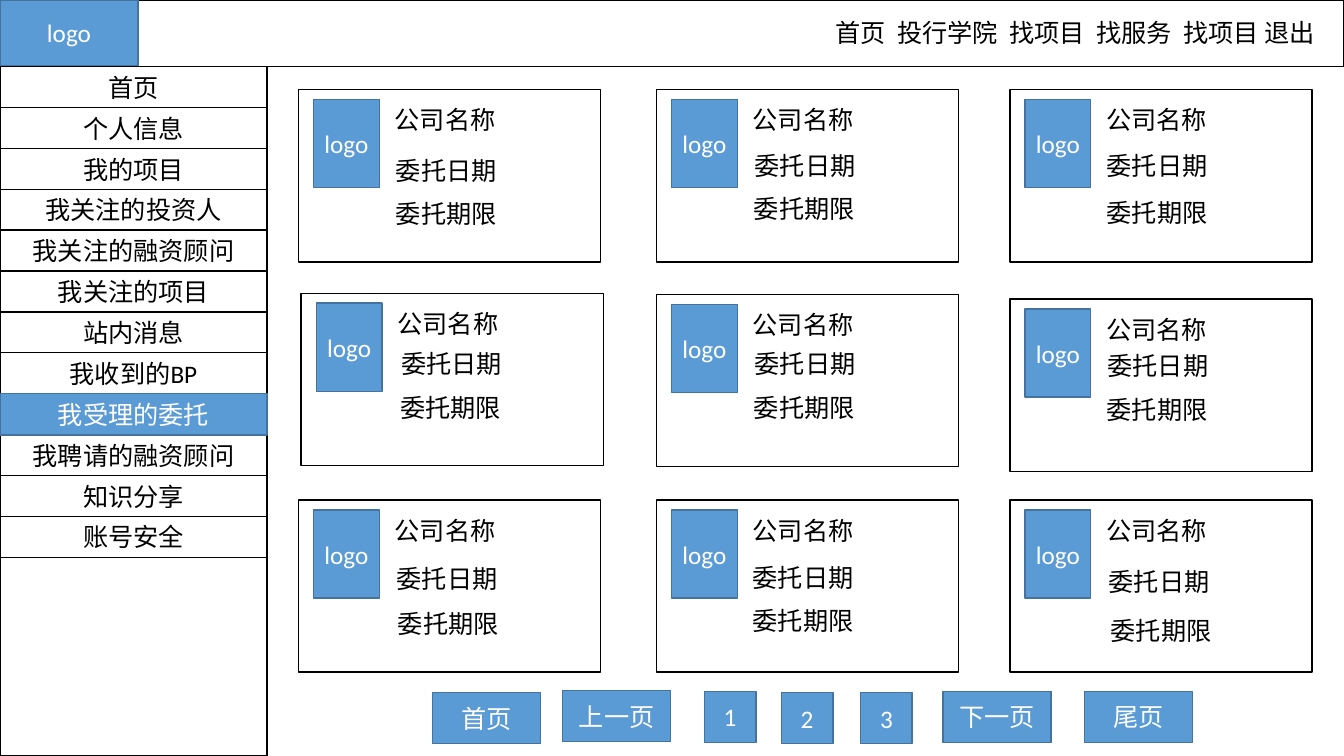
from lxml.etree import SubElement
from pptx import Presentation
from pptx.dml.color import RGBColor
from pptx.enum.shapes import MSO_SHAPE
from pptx.enum.text import MSO_ANCHOR, PP_ALIGN
from pptx.oxml.ns import qn
from pptx.util import Cm, Pt

# Content, lengths in centimetres
SLIDE_W, SLIDE_H = 33.87, 19.05
BLUE, BLUE_EDGE, WHITE, BLACK = "5B9BD5", "43739E", "FFFFFF", "000000"

NAVIGATION = ["首页", "投行学院", "找项目", "找服务", "找项目", "退出"]
NAVIGATION_STOPS = [1.56, 4.38, 6.58, 8.77, 10.81]

MENU = [
    "首页", "个人信息", "我的项目", "我关注的投资人", "我关注的融资顾问", "我关注的项目",
    "站内消息", "我收到的BP", "我受理的委托", "我聘请的融资顾问", "知识分享", "账号安全",
]
ACTIVE_ENTRY = "我受理的委托"

COMPANY, DATE, TERM = "公司名称", "委托日期", "委托期限"
# Corner of each card, of its date and of its term
CARDS = [
    ((7.52, 2.26), (9.73, 3.78), (9.73, 4.88)),
    ((16.54, 2.26), (18.77, 3.66), (18.75, 4.75)),
    ((25.45, 2.26), (27.64, 3.66), (27.64, 4.85)),
    ((7.59, 7.39), (9.86, 8.66), (9.84, 9.75)),
    ((16.54, 7.42), (18.77, 8.66), (18.75, 9.75)),
    ((25.45, 7.54), (27.66, 8.71), (27.64, 9.8)),
    ((7.52, 12.6), (9.75, 14.07), (9.78, 15.21)),
    ((16.54, 12.6), (18.72, 14.05), (18.72, 15.14)),
    ((25.45, 12.6), (27.69, 14.15), (27.74, 15.37)),
]

# Label, left, top, width
PAGER = [
    ("首页", 10.9, 17.45, 2.72), ("上一页", 14.18, 17.4, 2.72),
    ("1", 17.75, 17.42, 1.3), ("2", 19.69, 17.45, 1.3), ("3", 21.69, 17.45, 1.3),
    ("下一页", 23.77, 17.42, 2.72), ("尾页", 27.33, 17.42, 2.72),
]

HEADER_H, SIDEBAR_W = 1.68, 6.73
MENU_STEP, MENU_ROW_H = 1.03, 1.04
CARD_W, CARD_H = 7.62, 4.34
LOGO_W, LOGO_H = 1.66, 2.22

presentation = Presentation()
presentation.slide_width, presentation.slide_height = Cm(SLIDE_W), Cm(SLIDE_H)
slide = presentation.slides.add_slide(presentation.slide_layouts[6])


def color(code):
    return RGBColor.from_string(code)


def write(paragraph, words, ink):
    run = paragraph.add_run()
    run.text = words
    run.font.name = "Calibri"
    run.font.size = Pt(18)
    run.font.color.rgb = color(ink)


def panel(left, top, width, height, words="", blue=False):
    box = slide.shapes.add_shape(
        MSO_SHAPE.RECTANGLE, Cm(left), Cm(top), Cm(width), Cm(height))
    box.shadow.inherit = False
    box.fill.solid()
    box.fill.fore_color.rgb = color(BLUE if blue else WHITE)
    box.line.color.rgb = color(BLUE_EDGE if blue else BLACK)
    box.line.width = Pt(1)
    if words:
        box.text_frame.vertical_anchor = MSO_ANCHOR.MIDDLE
        paragraph = box.text_frame.paragraphs[0]
        paragraph.alignment = PP_ALIGN.CENTER
        write(paragraph, words, WHITE if blue else BLACK)


def label(left, top, width, words, stops=()):
    box = slide.shapes.add_textbox(Cm(left), Cm(top), Cm(width), Cm(1.03))
    box.text_frame.word_wrap = True
    paragraph = box.text_frame.paragraphs[0]
    if stops:
        tab_list = SubElement(paragraph._p.get_or_add_pPr(), qn("a:tabLst"))
        for stop in stops:
            SubElement(tab_list, qn("a:tab"), pos=str(Cm(stop)), algn="l")
    write(paragraph, words, BLACK)


# Header
panel(0, 0, SLIDE_W, HEADER_H)
panel(0, 0, 3.48, 1.65, "logo", blue=True)
label(20.8, 0.3, 13.06, "\t".join(NAVIGATION), NAVIGATION_STOPS)

# Sidebar, with the active entry on top of its neighbours
panel(0, HEADER_H, SIDEBAR_W, SLIDE_H - HEADER_H)
for row, entry in sorted(enumerate(MENU), key=lambda item: item[1] == ACTIVE_ENTRY):
    panel(0, HEADER_H + row * MENU_STEP, SIDEBAR_W, MENU_ROW_H,
          entry, blue=entry == ACTIVE_ENTRY)

# Company cards
for (left, top), date_corner, term_corner in CARDS:
    panel(left, top, CARD_W, CARD_H)
    panel(left + 0.38, top + 0.25, LOGO_W, LOGO_H, "logo", blue=True)
    label(left + 2.18, top + 0.25, 5.16, COMPANY)
    label(*date_corner, 3.18, DATE)
    label(*term_corner, 3.73, TERM)

# Pager
for page, left, top, width in PAGER:
    panel(left, top, width, 1.29, page, blue=True)

presentation.save("out.pptx")
